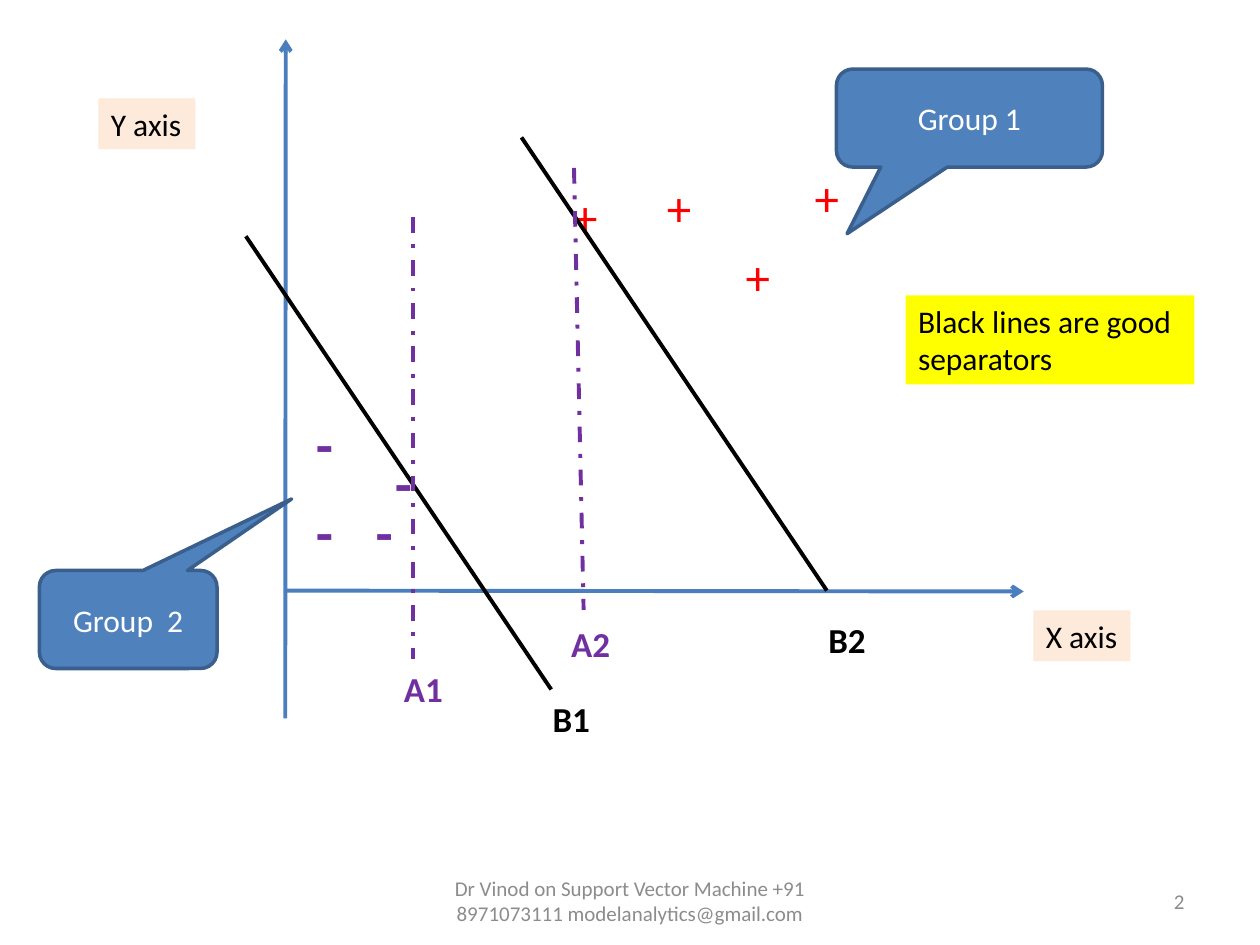
from dataclasses import dataclass

import pptx
import pptx.dml.color
import pptx.enum.dml
import pptx.enum.shapes
import pptx.enum.text
import pptx.oxml.ns
import pptx.util
from lxml import etree

Pt = pptx.util.Pt
Align = pptx.enum.text.PP_ALIGN
Anchor = pptx.enum.text.MSO_ANCHOR
Shape = pptx.enum.shapes.MSO_SHAPE


@dataclass(frozen=True)
class Theme:
    font: str = "Calibri"
    axis: str = "4B7EBC"
    black: str = "000000"
    purple: str = "7030A0"
    red: str = "FF0000"
    grey: str = "8C8C8C"
    white: str = "FFFFFF"
    yellow: str = "FFFF00"
    peach: str = "FDEADA"
    callout_fill: str = "4F81BD"
    callout_line: str = "3A5F8C"
    footer_size: float = 12
    body_size: float = 18
    label_size: float = 20
    plus_size: float = 28
    minus_size: float = 32
    line_width: float = 2.25
    callout_width: float = 2


def rgb(color):
    return pptx.dml.color.RGBColor.from_string(color)


class DiagramSlide:
    def __init__(self, slide, theme):
        self.slide = slide
        self.theme = theme

    def set_text(self, shape, text, size, color, bold=False, align=Align.CENTER,
                 anchor=Anchor.MIDDLE, wrap=True):
        frame = shape.text_frame
        frame.text = text
        frame.word_wrap = wrap
        frame.vertical_anchor = anchor
        for paragraph in frame.paragraphs:
            paragraph.alignment = align
            for run in paragraph.runs:
                run.font.name = self.theme.font
                run.font.size = Pt(size)
                run.font.bold = bold
                run.font.color.rgb = rgb(color)

    def text(self, box, text, size, color, **style):
        shape = self.slide.shapes.add_textbox(*map(Pt, box))
        self.set_text(shape, text, size, color, **style)
        return shape

    def centered_text(self, center, text, size, color, bold=False):
        width, height = 45, 34
        x, y = center
        self.text((x - width / 2, y - height / 2, width, height),
                  text, size, color, bold=bold)

    def note(self, box, text, fill):
        shape = self.text(box, text, self.theme.body_size, self.theme.black,
                          align=Align.LEFT, anchor=Anchor.TOP, wrap=False)
        shape.fill.solid()
        shape.fill.fore_color.rgb = rgb(fill)

    def callout(self, box, text, tip):
        """Add a rounded callout; tip is its offset from the centre as a share of the size."""
        shape = self.slide.shapes.add_shape(
            Shape.ROUNDED_RECTANGULAR_CALLOUT, *map(Pt, box))
        shape.adjustments[0], shape.adjustments[1] = tip
        shape.shadow.inherit = False
        shape.fill.solid()
        shape.fill.fore_color.rgb = rgb(self.theme.callout_fill)
        shape.line.color.rgb = rgb(self.theme.callout_line)
        shape.line.width = Pt(self.theme.callout_width)
        self.set_text(shape, text, self.theme.body_size, self.theme.white)

    def line(self, start, end, color, dash=None, arrow=False):
        connector = self.slide.shapes.add_connector(
            pptx.enum.shapes.MSO_CONNECTOR.STRAIGHT, *map(Pt, start + end))
        connector.line.color.rgb = rgb(color)
        connector.line.width = Pt(self.theme.line_width)
        if dash:
            connector.line.dash_style = dash
        properties = connector._element.spPr
        if arrow:
            etree.SubElement(properties.find(pptx.oxml.ns.qn("a:ln")),
                             pptx.oxml.ns.qn("a:tailEnd"), type="arrow")
        etree.SubElement(properties, pptx.oxml.ns.qn("a:effectLst"))


def main():
    presentation = pptx.Presentation()
    presentation.slide_width = Pt(720)
    presentation.slide_height = Pt(540)
    theme = Theme()
    diagram = DiagramSlide(
        presentation.slides.add_slide(presentation.slide_layouts[6]), theme)

    diagram.line((163.5, 337.5), (585, 338), theme.axis, arrow=True)
    diagram.line((163, 410.5), (163.3, 22.5), theme.axis, arrow=True)

    for center in ((472.5, 112.5), (388, 118), (433, 157.5), (334.5, 123.5)):
        diagram.centered_text(center, "+", theme.plus_size, theme.red)
    for center in ((230.5, 275.5), (219.5, 303.5), (185.5, 253), (185.5, 303.5)):
        diagram.centered_text(center, "-", theme.minus_size, theme.purple, bold=True)

    for start, end in (((140.5, 135), (315, 394)), ((298, 78.5), (472.5, 337.5))):
        diagram.line(start, end, theme.black)
    for start, end in (((236.2, 124), (236.2, 376.5)), ((328, 96), (333.5, 348.5))):
        diagram.line(start, end, theme.purple,
                     dash=pptx.enum.dml.MSO_LINE.DASH_DOT)

    for text, center, color in (
        ("A1", (242, 393.5), theme.purple),
        ("B1", (326.5, 410.5), theme.black),
        ("B2", (484, 365.5), theme.black),
        ("A2", (337.5, 367.5), theme.purple),
    ):
        diagram.centered_text(center, text, theme.label_size, color, bold=True)

    diagram.text((516, 500.5, 168, 28.75), "2", theme.footer_size, theme.grey,
                 align=Align.RIGHT)
    diagram.text((246, 500.5, 228, 28.75),
                 "Dr Vinod on Support Vector Machine +91 8971073111 "
                 "modelanalytics@gmail.com", theme.footer_size, theme.grey)

    diagram.note((517.5, 168.75, 165, 51), "Black lines are good\nseparators",
                 theme.yellow)
    diagram.note((56.25, 56.25, 55.5, 29), "Y axis", theme.peach)
    diagram.note((590.5, 348.75, 55.5, 29), "X axis", theme.peach)

    diagram.callout((478, 39.5, 152, 56), "Group 1", (-0.46, 1.18))
    diagram.callout((22.5, 326, 101.5, 56), "Group  2", (0.92, -1.23))

    presentation.save("out.pptx")


if __name__ == "__main__":
    main()
